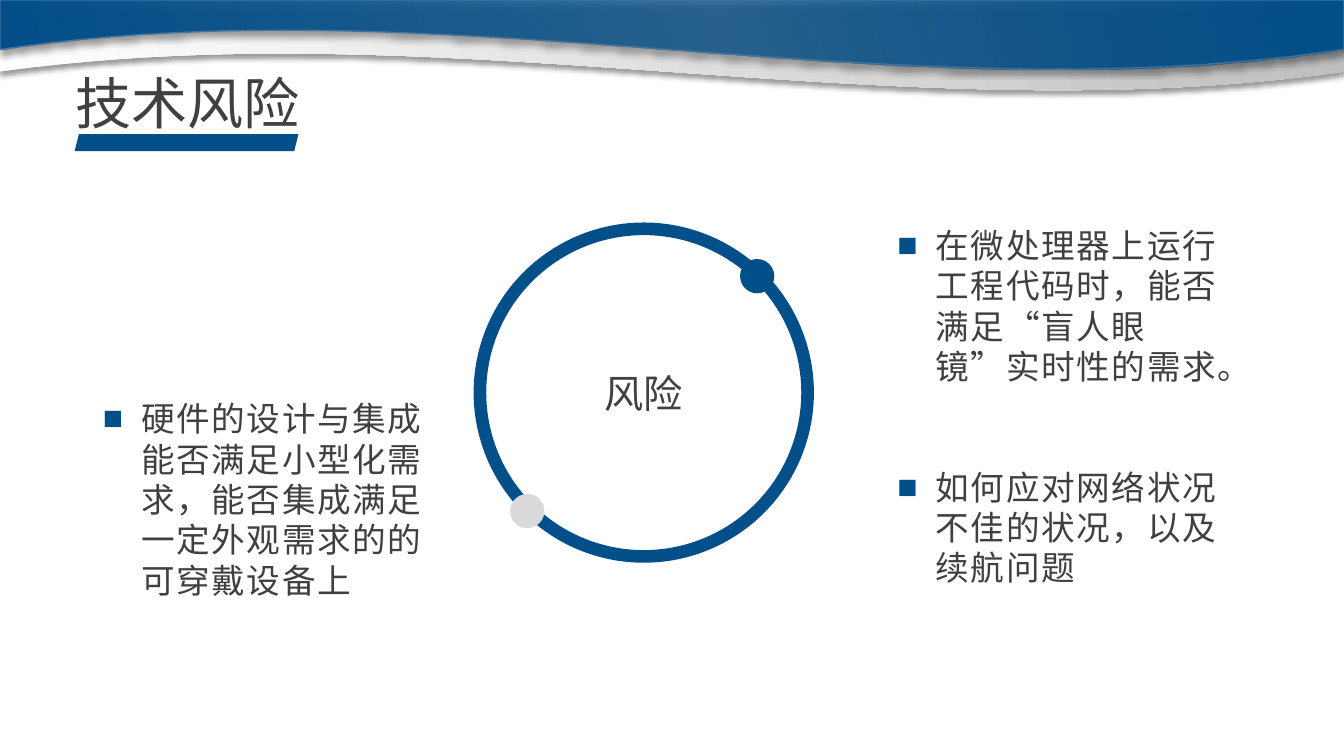
from dataclasses import dataclass

from lxml.etree import SubElement
from pptx import Presentation
from pptx.dml.color import RGBColor
from pptx.enum.lang import MSO_LANGUAGE_ID
from pptx.enum.shapes import MSO_SHAPE
from pptx.enum.text import MSO_ANCHOR, MSO_AUTO_SIZE, PP_ALIGN
from pptx.oxml import parse_xml
from pptx.oxml.ns import nsdecls, qn
from pptx.util import Inches, Pt


@dataclass(frozen=True)
class Theme:
    blue: str = "034F89"
    edge: str = "43739E"
    silver: str = "D9D9D9"
    wave_grey: str = "BFBFBF"
    white: str = "FFFFFF"
    text: str = "404040"
    font: str = "Noto Sans CJK SC"
    ring_font: str = "Arial"
    title_size: int = 40
    ring_size: int = 28
    body_size: int = 24
    line_factor: float = 1.2


THEME = Theme()
SLIDE_WIDTH = 13.33


def color(value):
    return RGBColor.from_string(value)


def format_paragraph(paragraph, size, font=THEME.font, spacing=0):
    """Apply font, size and letter spacing (points) to the paragraph's runs."""
    for run in paragraph.runs:
        run.font.name = font
        run.font.size = Pt(size)
        run.font.color.rgb = color(THEME.text)
        run.font.language_id = MSO_LANGUAGE_ID.SIMPLIFIED_CHINESE
        properties = run.font._element
        SubElement(properties, qn("a:ea"), typeface=THEME.font)
        if spacing:
            properties.set("spc", str(round(spacing * 100)))


def place(shape, left, top, width, height):
    shape.left, shape.top = Inches(left), Inches(top)
    shape.width, shape.height = Inches(width), Inches(height)


def set_up_frame(text_frame):
    text_frame.auto_size = MSO_AUTO_SIZE.NONE
    text_frame.word_wrap = True
    text_frame.vertical_anchor = MSO_ANCHOR.TOP


def fill_title(title, text):
    place(title, 0.65, 0.63, 2.43, 0.77)
    set_up_frame(title.text_frame)
    title.text_frame.text = text
    paragraph = title.text_frame.paragraphs[0]
    paragraph.alignment = PP_ALIGN.JUSTIFY
    paragraph.line_spacing = Pt(THEME.title_size * THEME.line_factor)
    format_paragraph(paragraph, THEME.title_size)


def add_square_bullet(paragraph):
    properties = paragraph._p.get_or_add_pPr()
    properties.set("marL", str(Inches(0.38)))
    properties.set("indent", str(Inches(-0.38)))
    bullet_color = SubElement(properties, qn("a:buClr"))
    SubElement(bullet_color, qn("a:srgbClr"), val=THEME.blue)
    SubElement(properties, qn("a:buFont"), typeface="Arial")
    SubElement(properties, qn("a:buChar"), char="■")


def fill_list(body, items, left, top, height):
    place(body, left, top, 3.45, height)
    text_frame = body.text_frame
    set_up_frame(text_frame)
    text_frame.text = "\n".join(items)
    line_height = THEME.body_size * THEME.line_factor
    for index, paragraph in enumerate(text_frame.paragraphs):
        paragraph.line_spacing = Pt(line_height)
        paragraph.space_before = Pt(2 * line_height if index else 0)
        add_square_bullet(paragraph)
        format_paragraph(paragraph, THEME.body_size, spacing=1.2)


def add_shape(slide, kind, left, top, width, height, fill=None):
    shape = slide.shapes.add_shape(
        kind, Inches(left), Inches(top), Inches(width), Inches(height))
    shape.shadow.inherit = False
    shape.line.fill.background()
    if fill:
        shape.fill.solid()
        shape.fill.fore_color.rgb = color(fill)
    else:
        shape.fill.background()
    return shape


def curve_segment(points):
    """Return a cubic path segment through two controls to an end, in inches."""
    segment = parse_xml(f'<a:cubicBezTo {nsdecls("a")}/>')
    for x, y in points:
        SubElement(segment, qn("a:pt"), x=str(Inches(x)), y=str(Inches(y)))
    return segment


def add_wave(slide, depth, right, first_pull, second_pull, left, stops, edge=None):
    """Draw a top band; heights run right to left, stops are (place, colour, opacity)."""
    corners = [(SLIDE_WIDTH, 0), (SLIDE_WIDTH, right), (0.08, left), (0, left + 0.01)]
    builder = slide.shapes.build_freeform(0, 0)
    builder.add_line_segments([(Inches(x), Inches(y)) for x, y in corners], close=True)
    wave = builder.convert_to_shape()
    wave.shadow.inherit = False
    wave.height = Inches(depth)

    properties = wave._element.spPr
    outline = next(properties.iter(qn("a:path")))
    outline.set("h", str(Inches(depth)))
    lower_edge = outline.findall(qn("a:lnTo"))[2]
    outline.replace(lower_edge, curve_segment(
        [(8.91, first_pull), (4.5, second_pull), (0.08, left)]))

    gradient_stops = "".join(
        f'<a:gs pos="{position * 1000}"><a:srgbClr val="{value}">'
        f'<a:alpha val="{opacity * 1000}"/></a:srgbClr></a:gs>'
        for position, value, opacity in stops)
    wave.fill.background()
    properties.replace(properties.find(qn("a:noFill")), parse_xml(
        f'<a:gradFill {nsdecls("a")}><a:gsLst>{gradient_stops}</a:gsLst>'
        f'<a:lin ang="{342 * 60000}" scaled="0"/></a:gradFill>'))
    if edge:
        wave.line.color.rgb = color(edge)
        wave.line.width = Pt(1)
    else:
        wave.line.fill.background()
    properties.find(qn("a:effectLst")).append(parse_xml(
        f'<a:outerShdw {nsdecls("a")} blurRad="{Pt(4)}" dist="{Pt(3)}" dir="5400000" '
        'algn="t" rotWithShape="0"><a:srgbClr val="000000"><a:alpha val="40000"/>'
        '</a:srgbClr></a:outerShdw>'))


def add_ring(slide, text):
    ring = add_shape(slide, MSO_SHAPE.OVAL, 4.76, 2.27, 3.25, 3.25)
    ring.line.color.rgb = color(THEME.blue)
    ring.line.width = Pt(9)
    ring.text_frame.text = text
    ring.text_frame.vertical_anchor = MSO_ANCHOR.MIDDLE
    paragraph = ring.text_frame.paragraphs[0]
    paragraph.alignment = PP_ALIGN.CENTER
    format_paragraph(paragraph, THEME.ring_size, THEME.ring_font)


def main():
    presentation = Presentation()
    presentation.slide_width = Inches(SLIDE_WIDTH)
    presentation.slide_height = Inches(7.5)
    slide = presentation.slides.add_slide(
        presentation.slide_layouts.get_by_name("Two Content"))
    title, left_body, right_body = slide.placeholders

    add_wave(slide, 0.89, 0.71, 1.34, 0.1, 0.7,
             [(0, THEME.white, 100), (100, THEME.wave_grey, 100)])
    add_wave(slide, 0.69, 0.49, 1.16, -0.16, 0.48,
             [(0, THEME.blue, 100), (54, THEME.blue, 75), (100, THEME.blue, 100)],
             THEME.edge)

    fill_title(title, "技术风险")
    add_shape(slide, MSO_SHAPE.PARALLELOGRAM, 0.74, 1.33, 2.22, 0.17, THEME.blue)

    add_ring(slide, "风险")
    for left, top, fill in [(7.34, 2.57, THEME.blue), (5.06, 4.9, THEME.silver)]:
        add_shape(slide, MSO_SHAPE.OVAL, left, top, 0.34, 0.34, fill)

    fill_list(left_body,
              ["硬件的设计与集成能否满足小型化需求，能否集成满足一定外观需求的的可穿戴设备上"],
              0.92, 3.9, 2.12)
    fill_list(right_body,
              ["在微处理器上运行工程代码时，能否满足“盲人眼镜”实时性的需求。",
               "如何应对网络状况不佳的状况，以及续航问题"],
              8.8, 2.18, 3.73)
    presentation.save("out.pptx")


if __name__ == "__main__":
    main()
